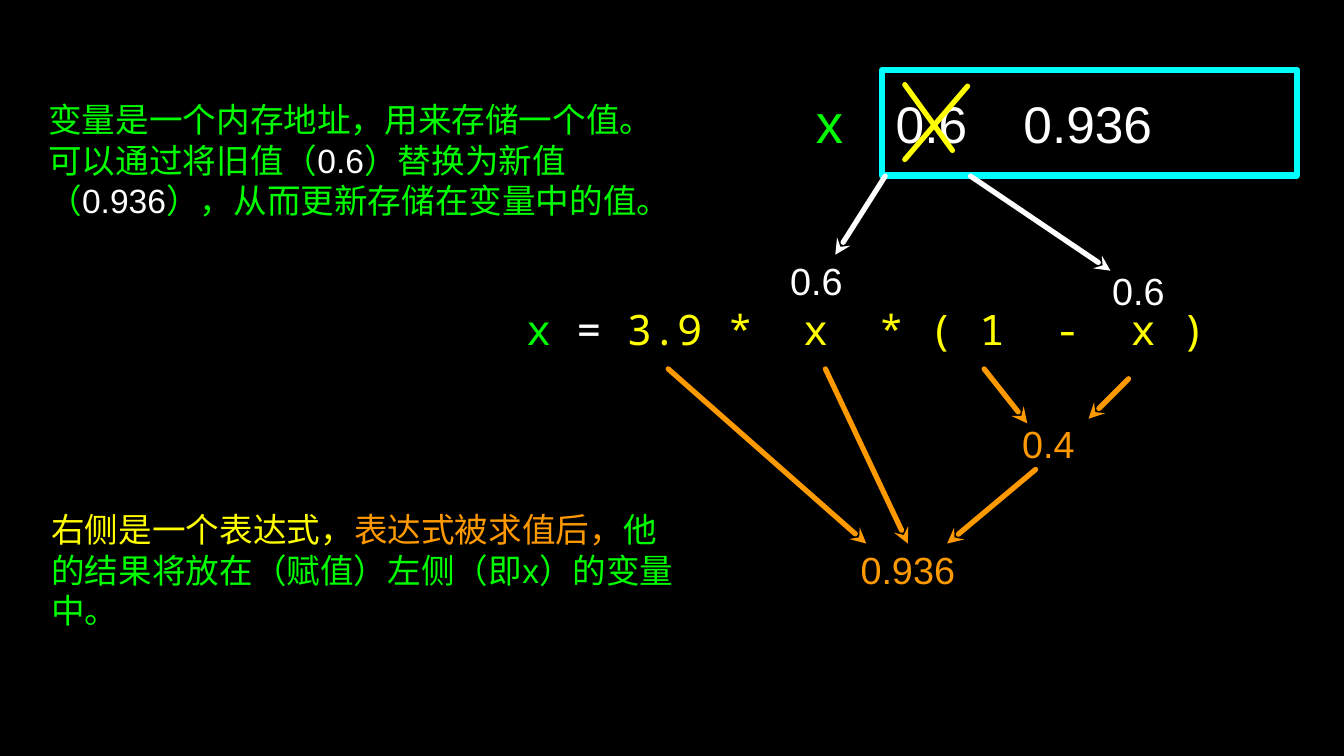
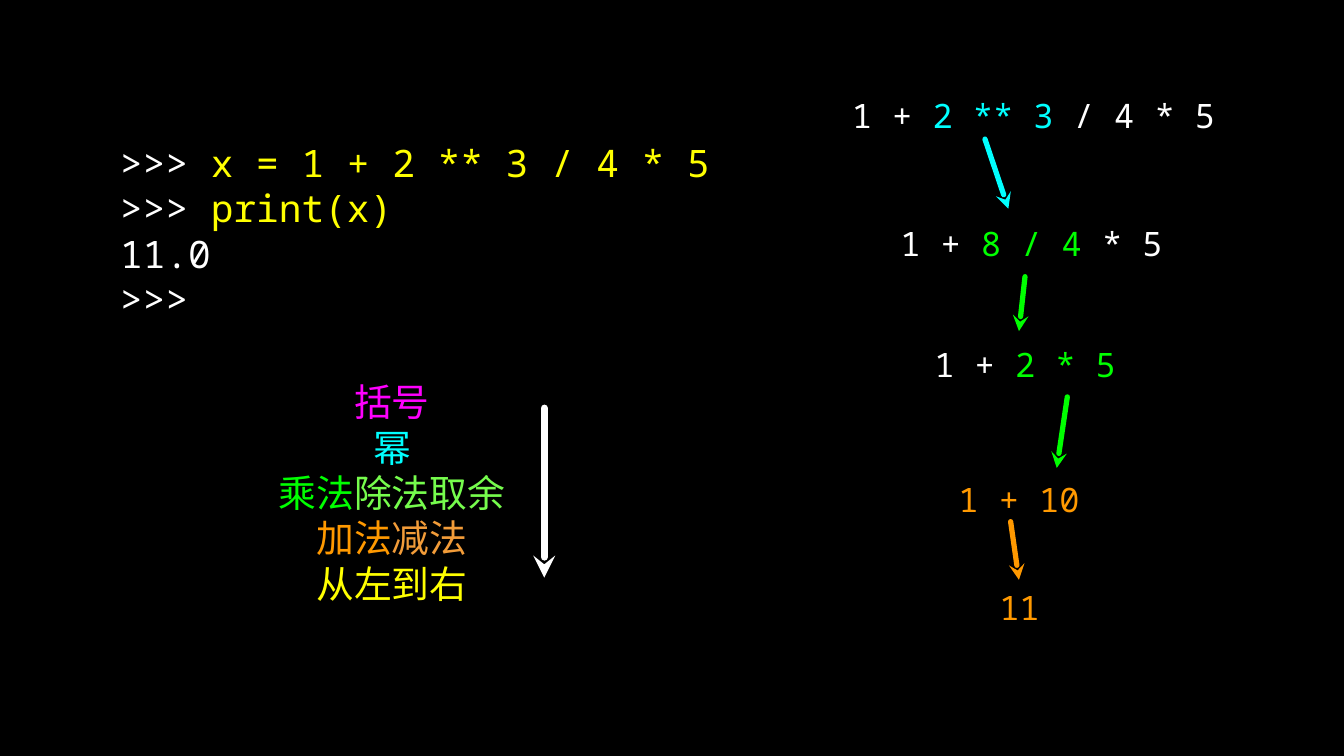
from pptx import Presentation
from pptx.dml.color import RGBColor
from pptx.enum.shapes import MSO_CONNECTOR as CONN, MSO_SHAPE as SHAPE
from pptx.enum.text import MSO_ANCHOR as ANCHOR, PP_ALIGN as ALIGN
from pptx.oxml.ns import qn
from pptx.util import Inches, Pt
from lxml import etree

BLACK, WHITE = "000000", "FFFFFF"
GREEN, YELLOW, ORANGE = "00FF00", "FFFF00", "FF9900"
CYAN, MAGENTA = "00FFFF", "FF00FF"
SANS, MONO = "Arial", "Noto Sans Mono"


def add_text(s, box, paragraphs, size, font=SANS, align=ALIGN.LEFT):
    """Add a text box; each paragraph is a list of (text, colour) runs."""
    sp = s.shapes.add_textbox(*map(Inches, box))
    tf = sp.text_frame
    tf.word_wrap = True
    tf.vertical_anchor = ANCHOR.MIDDLE
    tf.margin_left = tf.margin_right = tf.margin_top = tf.margin_bottom = 0
    for i, runs in enumerate(paragraphs):
        p = tf.paragraphs[0] if i == 0 else tf.add_paragraph()
        p.alignment = align
        for text, color in runs:
            r = p.add_run()
            r.text = text
            r.font.name = font
            r.font.size = Pt(size)
            r.font.color.rgb = RGBColor.from_string(color)


def add_line(s, points, color, width=5, arrow=True):
    """Draw a round-capped line x1, y1 to x2, y2, with an arrowhead at the end."""
    sp = s.shapes.add_connector(CONN.STRAIGHT, *map(Inches, points))
    sp.line.color.rgb = RGBColor.from_string(color)
    sp.line.width = Pt(width)
    ln = sp.line._get_or_add_ln()
    ln.set("cap", "rnd")
    if arrow:
        etree.SubElement(ln, qn("a:tailEnd"), type="stealth")
    etree.SubElement(sp._element.spPr, qn("a:effectLst"))


prs = Presentation()
prs.slide_width, prs.slide_height = Inches(17.78), Inches(10)
fill = prs.slide_master.background.fill
fill.solid()
fill.fore_color.rgb = RGBColor.from_string(BLACK)
blank = prs.slide_layouts[6]

# Slide 1: evaluating an assignment
s = prs.slides.add_slide(blank)
add_text(s, (6.96, 4.01, 9.67, 0.67),
         [[("x ", GREEN), ("= ", WHITE), ("3.9 *  x  * ( 1  -  x )", YELLOW)]],
         40, MONO)

# The memory cell of x, with its old value crossed out
cell = s.shapes.add_shape(SHAPE.RECTANGLE, Inches(11.67), Inches(0.93),
                          Inches(5.49), Inches(1.39))
cell.shadow.inherit = False
cell.fill.background()
cell.line.color.rgb = RGBColor.from_string(CYAN)
cell.line.width = Pt(6)
for left, width, value in [(11.85, 1.2, "0.6"), (13.54, 2.4, "0.936")]:
    add_text(s, (left, 1.25, width, 0.76), [[(value, WHITE)]], 49)
for points in [(12.8, 1.14, 11.97, 2.11), (11.97, 1.12, 12.6, 1.99)]:
    add_line(s, points, YELLOW, arrow=False)
add_text(s, (10.73, 1.21, 0.49, 0.81), [[("x", GREEN)]], 52, align=ALIGN.CENTER)

# Values read from memory (white) and computed (orange)
for left, top, width, value, color in [
    (10.31, 3.43, 0.98, "0.6", WHITE),
    (14.48, 3.55, 1.16, "0.6", WHITE),
    (13.29, 5.58, 1.16, "0.4", ORANGE),
    (11.06, 7.25, 1.9, "0.936", ORANGE),
]:
    add_text(s, (left, top, width, 0.57), [[(value, color)]], 36,
             align=ALIGN.CENTER)

for points, color in [
    ((11.71, 2.33, 11.05, 3.37), WHITE),
    ((12.84, 2.33, 14.69, 3.58), WHITE),
    ((13.02, 4.88, 13.59, 5.6), ORANGE),
    ((14.93, 5.01, 14.4, 5.54), ORANGE),
    ((13.7, 6.21, 12.53, 7.19), ORANGE),
    ((8.84, 4.88, 11.46, 7.19), ORANGE),
    ((10.92, 4.88, 12.01, 7.19), ORANGE),
]:
    add_line(s, points, color)

add_text(s, (0.64, 0.85, 8.21, 2.53), [[
    ("变量是一个内存地址，用来存储一个值。可以通过将旧值（", GREEN),
    ("0.6", WHITE),
    ("）替换为新值（", GREEN),
    ("0.936", WHITE),
    ("），从而更新存储在变量中的值。", GREEN),
]], 32)
add_text(s, (0.68, 6.59, 8.38, 1.89), [[
    ("右侧是一个表达式，", YELLOW),
    ("表达式被求值后，", ORANGE),
    ("他的结果将放在（赋值）左侧（即x）的变量中。", GREEN),
]], 32)

# Slide 2: operator precedence
s = prs.slides.add_slide(blank)
steps = [
    (11.27, 1.26, 5.06, [("1 + ", WHITE), ("2 ** 3", CYAN), (" / 4 * 5", WHITE)]),
    (11.91, 2.95, 4.42, [("1 + ", WHITE), ("8 / 4", GREEN), (" * 5", WHITE)]),
    (12.36, 4.55, 3.52, [("1 + ", WHITE), ("2 * 5", GREEN)]),
    (12.68, 6.34, 2.47, [("1 + 10", ORANGE)]),
    (13.22, 7.76, 0.79, [("11", ORANGE)]),
]
for left, top, width, runs in steps:
    add_text(s, (left, top, width, 0.53), [runs], 32, MONO)

for points, color in [
    ((13.03, 1.84, 13.34, 2.76), CYAN),
    ((13.56, 3.66, 13.48, 4.38), GREEN),
    ((14.12, 5.25, 13.98, 6.19), GREEN),
    ((13.37, 6.9, 13.48, 7.67), ORANGE),
]:
    add_line(s, points, color)

add_text(s, (1.59, 1.85, 8.04, 2.39), [
    [(">>> ", WHITE), ("x = 1 + 2 ** 3 / 4 * 5", YELLOW)],
    [(">>> ", WHITE), ("print(x)", YELLOW)],
    [("11.0", WHITE)],
    [(">>> ", WHITE)],
], 36, MONO)

# Precedence from highest to lowest
add_text(s, (3.55, 4.78, 3.27, 3.47), [
    [("括号", MAGENTA)],
    [("幂", CYAN)],
    [("乘法", GREEN), ("除法取余", "76FC4D")],
    [("加法", ORANGE), ("减法", "F29C39")],
    [("从左到右", YELLOW)],
], 36, align=ALIGN.CENTER)
add_line(s, (7.2, 5.4, 7.2, 7.64), WHITE, width=7)

prs.save("out.pptx")
